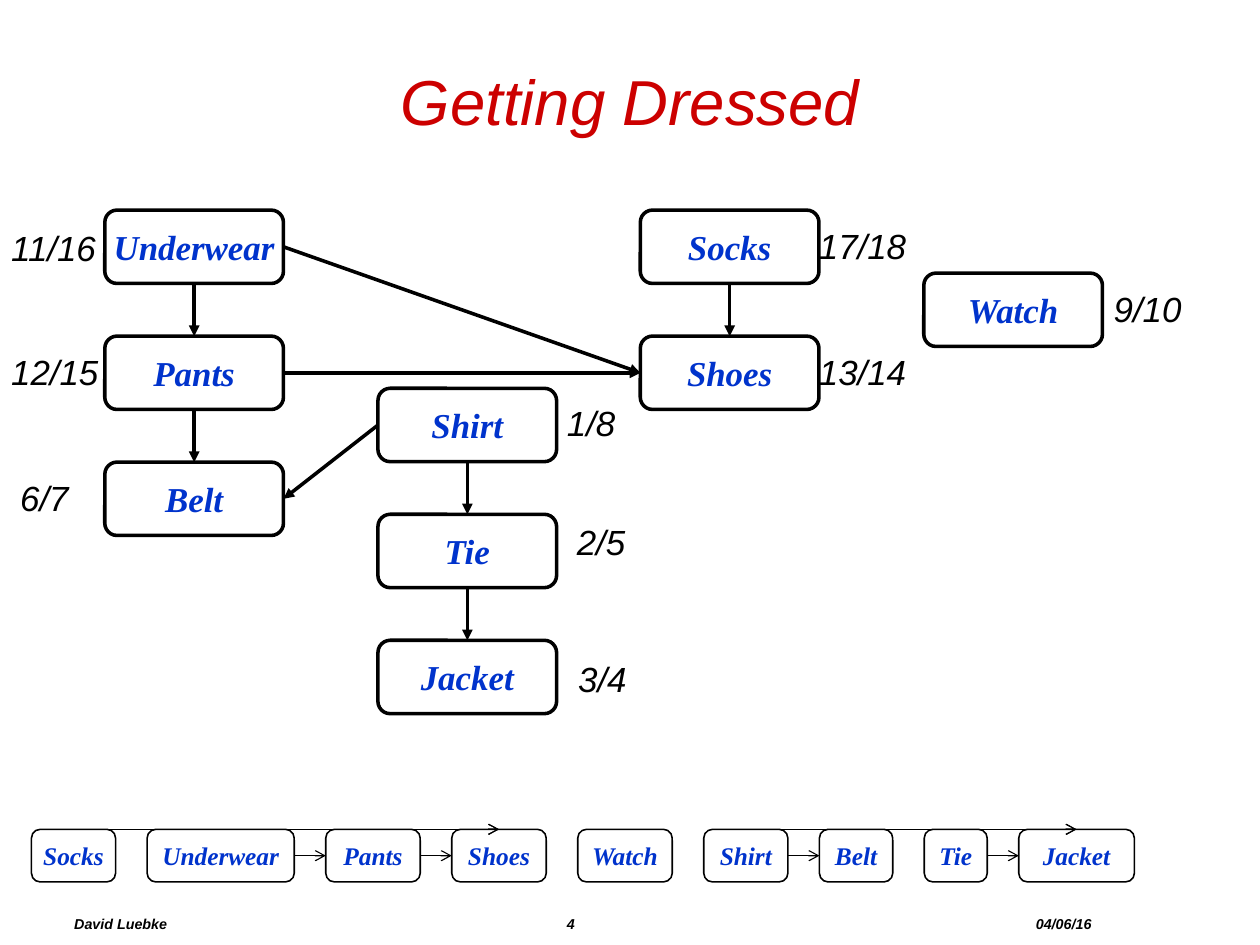
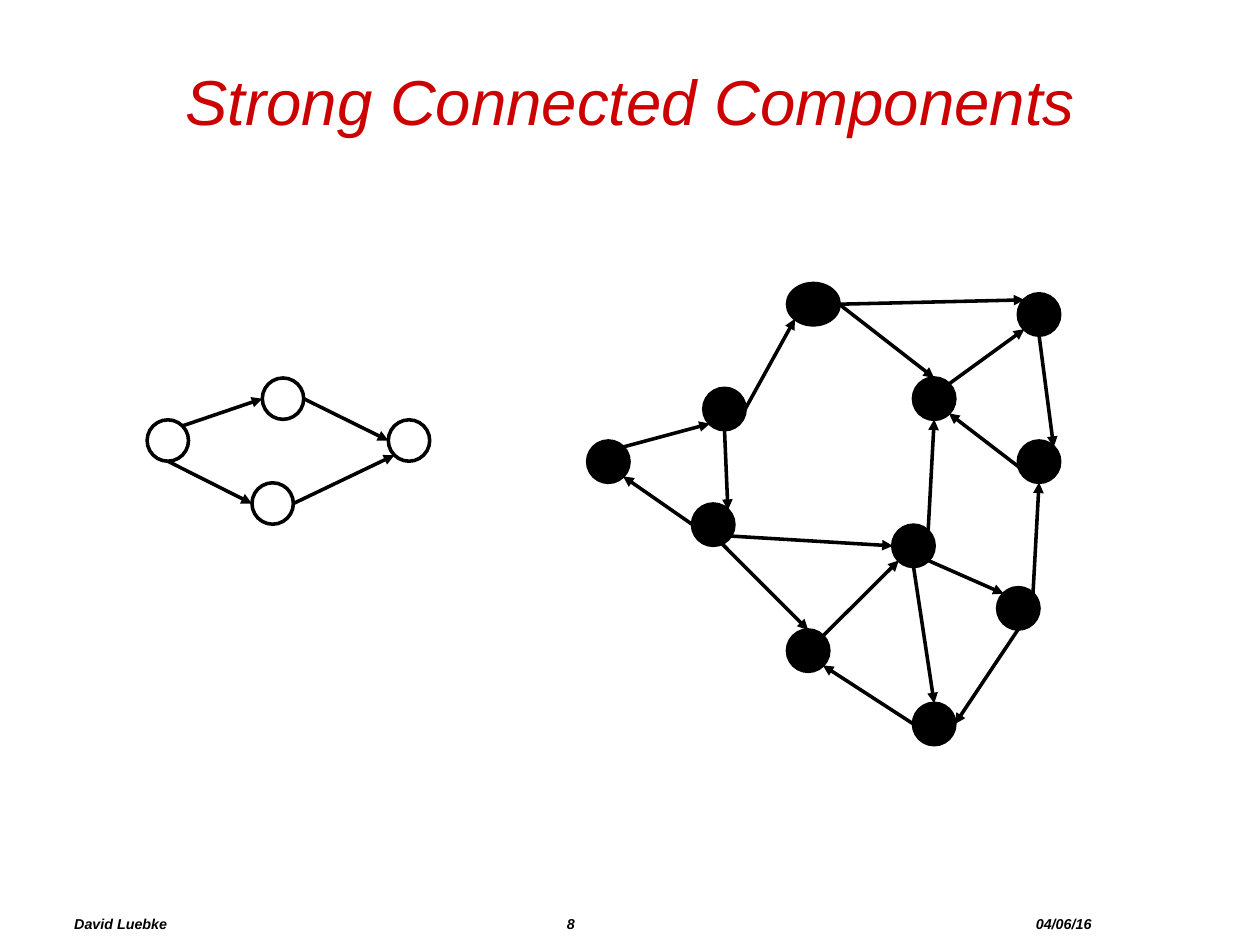
"""Build two graph slides: a dressing order and strongly connected components."""
from lxml import etree
from pptx import Presentation
from pptx.dml.color import RGBColor
from pptx.enum.shapes import MSO_CONNECTOR, MSO_SHAPE
from pptx.enum.text import MSO_ANCHOR, MSO_AUTO_SIZE, PP_ALIGN
from pptx.oxml.ns import qn
from pptx.util import Cm, Pt

STRAIGHT, CURVE = MSO_CONNECTOR.STRAIGHT, MSO_CONNECTOR.CURVE
ROUND_RECT, OVAL = MSO_SHAPE.ROUNDED_RECTANGLE, MSO_SHAPE.OVAL
MIDDLE, NO_FIT = MSO_ANCHOR.MIDDLE, MSO_AUTO_SIZE.NONE
CENTER, LEFT = PP_ALIGN.CENTER, PP_ALIGN.LEFT

COLORS = {"title": "CC0000", "box_text": "0033CC", "ink": "000000"}
SANS, SERIF = "Arial", "Times New Roman"
THICK, BOX_LINE, THIN = 2.25, 1, 0.75
TITLE_ONLY = 5

DIAGONAL = 0.146
SITES = {
    "t": (0.5, 0), "l": (0, 0.5), "b": (0.5, 1), "r": (1, 0.5),
    "tl": (DIAGONAL, DIAGONAL), "tr": (1 - DIAGONAL, DIAGONAL),
    "bl": (DIAGONAL, 1 - DIAGONAL), "br": (1 - DIAGONAL, 1 - DIAGONAL),
    "inner": (0.5, 0.75),
}
BOX_SITES = {"t": 0, "l": 1, "b": 2, "r": 3}

BOX_W, BOX_H, BOX_PITCH = 3.97, 1.63, 2.8
BOX_COLUMNS = [
    (2.33, 4.67, ["Underwear", "Pants", "Belt"]),
    (14.23, 4.67, ["Socks", "Shoes"]),
    (8.4, 8.63, ["Shirt", "Tie", "Jacket"]),
    (20.53, 6.07, ["Watch"]),
]
BOX_EDGES = [
    ("Underwear", "b", "Pants", "t"), ("Pants", "b", "Belt", "t"),
    ("Shirt", "l", "Belt", "r"), ("Shirt", "b", "Tie", "t"),
    ("Tie", "b", "Jacket", "t"), ("Socks", "b", "Shoes", "t"),
    ("Underwear", "r", "Shoes", "l"), ("Pants", "r", "Shoes", "l"),
]
TIMES = [
    ("11/16", 0, 4.9), ("12/15", 0, 7.65), ("6/7", 0.2, 10.45),
    ("1/8", 12.35, 8.8), ("2/5", 12.57, 11.43), ("3/4", 12.6, 14.48),
    ("17/18", 17.95, 4.85), ("13/14", 17.95, 7.65), ("9/10", 24.5, 6.25),
]
ORDER_LEFT, ORDER_TOP, ORDER_H, ORDER_GAP = 0.7, 18.43, 1.17, 0.7
ORDER_WIDTHS = {
    "Socks": 1.87, "Underwear": 3.27, "Pants": 2.1, "Shoes": 2.1, "Watch": 2.1,
    "Shirt": 1.87, "Belt": 1.63, "Tie": 1.4, "Jacket": 2.57,
}
ORDER_STEPS = [("Underwear", "Pants"), ("Pants", "Shoes"), ("Shirt", "Belt"), ("Tie", "Jacket")]
ORDER_JUMPS = [("Socks", "Shoes"), ("Underwear", "Shoes"), ("Shirt", "Jacket"), ("Belt", "Jacket")]

NODE_SIZE, WIDE_NODE = 0.92, 1.15
LARGE_NODES = {
    "A": (13.06, 9.8), "B": (15.64, 8.63), "C": (15.39, 11.2), "D": (17.5, 6.3, WIDE_NODE),
    "E": (22.63, 6.53), "F": (20.3, 8.4), "G": (22.63, 9.8), "H": (19.84, 11.67),
    "I": (22.17, 13.06), "J": (20.3, 15.63), "K": (17.5, 14),
}
LARGE_EDGES = [
    ("A", "tr", "B", "bl"), ("B", "b", "C", "tr"), ("C", "l", "A", "br"),
    ("B", "r", "D", "bl"), ("F", "tr", "E", "bl"), ("E", "b", "G", "tr"),
    ("G", "b", "F", "br"), ("D", "r", "E", "tl"), ("D", "r", "F", "t"),
    ("I", "tr", "G", "b"), ("H", "br", "I", "tl"), ("H", "tr", "F", "b"),
    ("I", "b", "J", "r"), ("H", "b", "J", "t"), ("J", "l", "K", "br"),
    ("K", "tr", "H", "bl"), ("C", "inner", "K", "t"), ("C", "inner", "H", "l"),
]
SMALL_NODES = {"W": (3.27, 9.33), "N": (5.83, 8.4), "S": (5.6, 10.73), "E": (8.63, 9.33)}
SMALL_EDGES = [
    ("W", "tr", "N", "l"), ("W", "b", "S", "l"), ("N", "r", "E", "l"), ("S", "r", "E", "bl"),
]


def rgb(name):
    """Return the named colour."""
    return RGBColor.from_string(COLORS[name])


def write(tf, text, font, size, color, bold=False, align=LEFT):
    """Put one italic paragraph into a text frame and return it."""
    p = tf.paragraphs[0]
    p.text, p.alignment = text, align
    p.font.name, p.font.size = font, Pt(size)
    p.font.bold, p.font.italic = bold, True
    p.font.color.rgb = rgb(color)
    return p


def add_text(shapes, text, x, y, w, h, size, bold=False):
    """Add a wrapping text box and return its paragraph."""
    tf = shapes.add_textbox(Cm(x), Cm(y), Cm(w), Cm(h)).text_frame
    tf.word_wrap = True
    tf.vertical_anchor = MIDDLE
    return write(tf, text, SANS, size, "ink", bold)


def add_outline(shapes, preset, x, y, w, h, width):
    """Add an unfilled shape with a black outline."""
    sp = shapes.add_shape(preset, Cm(x), Cm(y), Cm(w), Cm(h))
    sp.shadow.inherit = False
    sp.fill.background()
    sp.line.color.rgb = rgb("ink")
    sp.line.width = Pt(width)
    return sp


def add_box(shapes, text, x, y, w, h, size, width):
    """Add a rounded box with a centred label."""
    sp = add_outline(shapes, ROUND_RECT, x, y, w, h, width)
    tf = sp.text_frame
    tf.word_wrap = False
    tf.vertical_anchor = MIDDLE
    write(tf, text, SERIF, size, "box_text", True, CENTER)
    return sp


def site_point(sp, site):
    """Return the position of a site on a shape."""
    fx, fy = SITES[site]
    return int(sp.left + sp.width * fx), int(sp.top + sp.height * fy)


def add_arrow(shapes, start, start_site, end, end_site, width=THICK, head="triangle", kind=STRAIGHT):
    """Add an arrow between sites of two shapes."""
    c = shapes.add_connector(kind, *site_point(start, start_site), *site_point(end, end_site))
    c.line.color.rgb = rgb("ink")
    c.line.width = Pt(width)
    sp_pr = c.element.spPr
    etree.SubElement(sp_pr.find(qn("a:ln")), qn("a:tailEnd"), type=head)
    etree.SubElement(sp_pr, qn("a:effectLst"))
    return c


def add_box_arrow(shapes, start, start_site, end, end_site, **style):
    """Add a straight arrow glued to two boxes."""
    c = add_arrow(shapes, start, start_site, end, end_site, **style)
    c.begin_connect(start, BOX_SITES[start_site])
    c.end_connect(end, BOX_SITES[end_site])


def add_footer(shapes, number):
    """Add author, slide number and date on one tabbed line."""
    p = add_text(shapes, f"David Luebke\t{number}\t04/06/16", 1.4, 20.06, 25.2, 0.94, 9, True)
    tabs = etree.Element(qn("a:tabLst"))
    for pos in (10.95, 21.37):
        etree.SubElement(tabs, qn("a:tab"), pos=str(Cm(pos)), algn="l")
    p_pr = p._p.get_or_add_pPr()
    p_pr.insert_element_before(tabs, "a:defRPr", "a:extLst")


def add_slide(prs, title, number):
    """Add a slide with the shared title and footer and return its shapes."""
    shapes = prs.slides.add_slide(prs.slide_layouts[TITLE_ONLY]).shapes
    sp = shapes.title
    sp.left, sp.top, sp.width, sp.height = Cm(1.4), Cm(0.7), Cm(25.2), Cm(3.03)
    tf = sp.text_frame
    tf.auto_size, tf.vertical_anchor = NO_FIT, MIDDLE
    write(tf, title, SANS, 40, "title", align=CENTER)
    add_footer(shapes, number)
    return shapes


def add_dressing_graph(shapes):
    """Draw the garment dependencies and their visit times."""
    boxes = {}
    for x, top, names in BOX_COLUMNS:
        for row, name in enumerate(names):
            boxes[name] = add_box(shapes, name, x, top + row * BOX_PITCH, BOX_W, BOX_H, 22, THICK)
    for start, start_site, end, end_site in BOX_EDGES:
        add_box_arrow(shapes, boxes[start], start_site, boxes[end], end_site)
    for text, x, y in TIMES:
        add_text(shapes, text, x, y, 2.6, 1.2, 22)


def add_dressing_order(shapes):
    """Draw the garments in sorted order along the bottom."""
    boxes, x = {}, ORDER_LEFT
    for name, w in ORDER_WIDTHS.items():
        boxes[name] = add_box(shapes, name, x, ORDER_TOP, w, ORDER_H, 16, BOX_LINE)
        x += w + ORDER_GAP
    for start, end in ORDER_STEPS:
        add_box_arrow(shapes, boxes[start], "r", boxes[end], "l", width=THIN, head="arrow")
    for start, end in ORDER_JUMPS:
        add_arrow(shapes, boxes[start], "t", boxes[end], "t", THIN, "arrow", CURVE)


def add_node_graph(shapes, nodes, edges, filled):
    """Draw one grouped graph of round nodes."""
    group = shapes.add_group_shape().shapes
    ovals = {}
    for name, (x, y, *wide) in nodes.items():
        w = wide[0] if wide else NODE_SIZE
        sp = ovals[name] = add_outline(group, OVAL, x, y, w, NODE_SIZE, THICK)
        if filled:
            sp.fill.solid()
            sp.fill.fore_color.rgb = rgb("ink")
    for start, start_site, end, end_site in edges:
        add_arrow(group, ovals[start], start_site, ovals[end], end_site)


def main():
    """Build and save the presentation."""
    prs = Presentation()
    prs.slide_width, prs.slide_height = Cm(28), Cm(21)
    shapes = add_slide(prs, "Getting Dressed", 4)
    add_dressing_order(shapes)
    add_dressing_graph(shapes)
    shapes = add_slide(prs, "Strong Connected Components", 8)
    add_node_graph(shapes, LARGE_NODES, LARGE_EDGES, True)
    add_node_graph(shapes, SMALL_NODES, SMALL_EDGES, False)
    prs.save("out.pptx")


if __name__ == "__main__":
    main()
